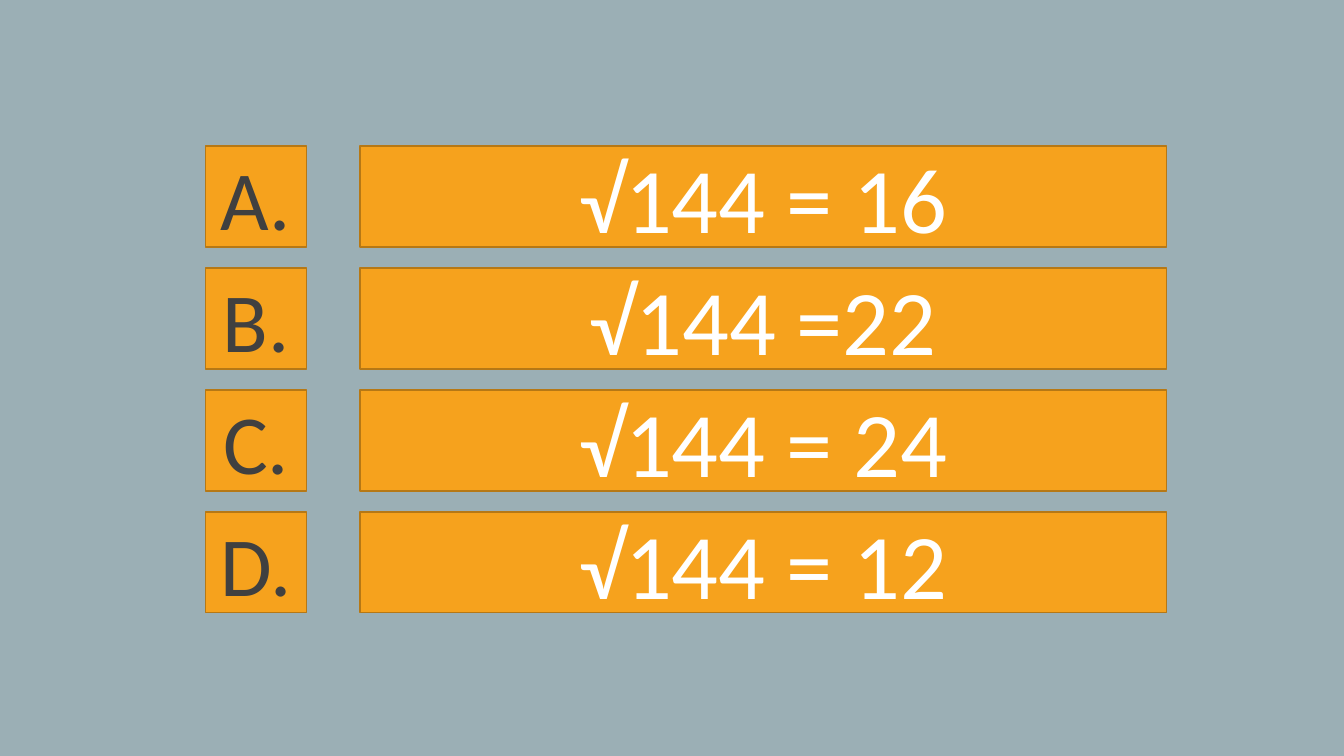
import pptx
import pptx.dml.color
import pptx.enum.shapes
import pptx.enum.text
import pptx.util

Inches = pptx.util.Inches
RGBColor = pptx.dml.color.RGBColor

BACKGROUND = RGBColor(0x9B, 0xAF, 0xB5)
ORANGE = RGBColor(0xF6, 0xA2, 0x1D)
BORDER = RGBColor(0xB6, 0x78, 0x15)
WHITE = RGBColor(0xFF, 0xFF, 0xFF)
DARK_GRAY = RGBColor(0x40, 0x40, 0x40)

ANSWERS = [
    ("A.", "√144 = 16"),
    ("B.", "√144 =22"),
    ("C.", "√144 = 24"),
    ("D.", "√144 = 12"),
]
LETTER_LEFT, ANSWER_LEFT = 2.04, 3.57
LETTER_WIDTH, ANSWER_WIDTH = 1, 8
FIRST_TOP, ROW_STEP, ROW_HEIGHT = 1.45, 1.21, 1


class QuizSlide:
    """Holds the quiz style and the slide being built."""

    font = "Calibri"

    def __init__(self, prs):
        self.s = prs.slides.add_slide(prs.slide_layouts[6])
        fill = self.s.background.fill
        fill.solid()
        fill.fore_color.rgb = BACKGROUND

    def box(self, left, top, width, text, size, color):
        sp = self.s.shapes.add_shape(
            pptx.enum.shapes.MSO_SHAPE.RECTANGLE,
            Inches(left), Inches(top), Inches(width), Inches(ROW_HEIGHT))
        sp.shadow.inherit = False
        sp.fill.solid()
        sp.fill.fore_color.rgb = ORANGE
        sp.line.color.rgb = BORDER
        sp.line.width = pptx.util.Pt(1)
        tf = sp.text_frame
        tf.word_wrap = True
        tf.vertical_anchor = pptx.enum.text.MSO_ANCHOR.MIDDLE
        p = tf.paragraphs[0]
        p.alignment = pptx.enum.text.PP_ALIGN.CENTER
        r = p.add_run()
        r.text = text
        r.font.name = self.font
        r.font.size = pptx.util.Pt(size)
        r.font.color.rgb = color


def main():
    prs = pptx.Presentation()
    prs.slide_width = Inches(13.33)
    prs.slide_height = Inches(7.5)
    quiz = QuizSlide(prs)
    for row, (letter, answer) in enumerate(ANSWERS):
        top = FIRST_TOP + row * ROW_STEP
        quiz.box(LETTER_LEFT, top, LETTER_WIDTH, letter, 60, DARK_GRAY)
        quiz.box(ANSWER_LEFT, top, ANSWER_WIDTH, answer, 66, WHITE)
    prs.save("out.pptx")


if __name__ == "__main__":
    main()
